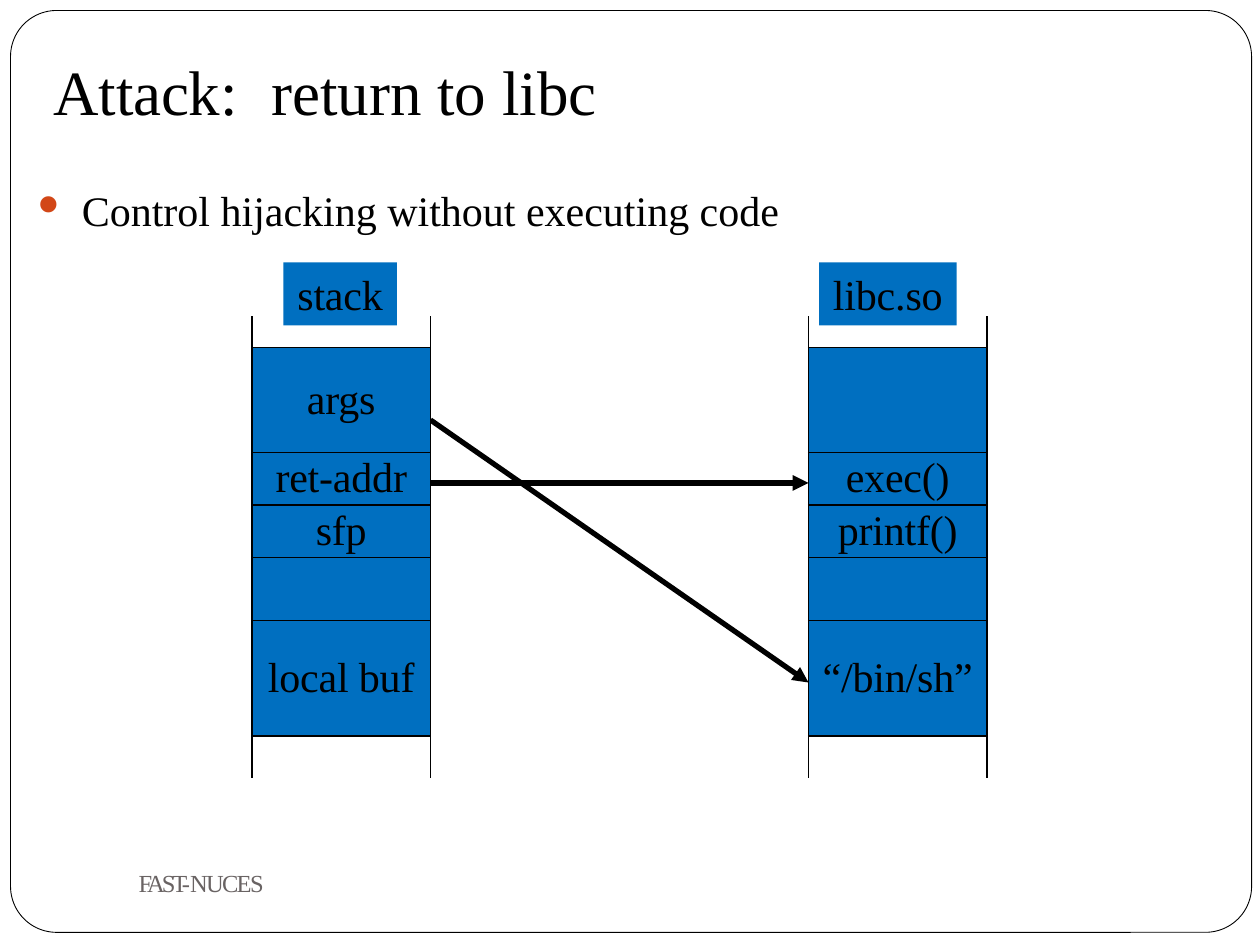
import pptx
import pptx.util
import pptx.dml.color
import pptx.enum.shapes
import pptx.enum.text
import pptx.oxml
import pptx.oxml.ns

COLORS = {"ink": "000000", "block": "006FC0", "bullet": "D24717", "footer": "696363"}
UNIT = pptx.util.Inches(1) // 12
ROW_HEIGHTS = [3, 10, 5, 5, 6, 11, 4]
COLUMN_WIDTH = 17
STACK_LEFT, LIBC_LEFT, TABLE_TOP = 24, 77, 30.1
NAMESPACE = pptx.oxml.ns.nsdecls("a")


def grid(value):
    return pptx.util.Emu(round(value * UNIT))


def element(name, content="", attributes=""):
    return pptx.oxml.parse_xml(f"<a:{name} {NAMESPACE} {attributes}>{content}</a:{name}>")


def color(name):
    return pptx.dml.color.RGBColor.from_string(COLORS[name])


def apply(target, values):
    for name, value in values.items():
        setattr(target, name, value)


class SlideBuilder:
    font = "Times New Roman"
    body_size = 24

    def __init__(self, page):
        self.page = page

    def add_spans(self, para, spans, size=body_size, ink="ink"):
        for text, spacing in spans:
            span = para.add_run()
            span.text = text
            apply(span.font, {"name": self.font, "size": pptx.util.Pt(size)})
            span.font.color.rgb = color(ink)
            span._r.get_or_add_rPr().set("spc", str(round(spacing * 100)))

    def frame(self, left, top, width, height, radius):
        box = self.page.shapes.add_shape(
            pptx.enum.shapes.MSO_SHAPE.ROUNDED_RECTANGLE, *map(grid, (left, top, width, height)))
        box.adjustments[0] = radius
        box.shadow.inherit = False
        box.fill.background()
        box.line.color.rgb = color("ink")
        box.line.width = pptx.util.Pt(0.5)

    def text(self, left, top, width, height, spans, size=body_size, ink="ink", tab=None, bullet=None):
        box = self.page.shapes.add_textbox(*map(grid, (left, top, width, height)))
        apply(box.text_frame, {"word_wrap": True, "margin_left": 0, "margin_right": 0,
                               "margin_top": pptx.util.Inches(0.02), "margin_bottom": 0})
        para = box.text_frame.paragraphs[0]
        properties = para._p.get_or_add_pPr()
        if bullet:
            properties.set("marL", str(pptx.util.Inches(0.4)))
            properties.set("indent", str(-pptx.util.Inches(0.38)))
            properties.append(element("buClr", f'<a:srgbClr val="{COLORS["bullet"]}"/>'))
            properties.append(element("buSzPct", attributes='val="83000"'))
            properties.append(element("buChar", attributes=f'char="{bullet}"'))
        if tab:
            stop = f'<a:tab pos="{pptx.util.Inches(tab)}" algn="l"/>'
            properties.append(element("tabLst", stop))
        self.add_spans(para, spans, size, ink)

    def heading(self, left, top, width, height, label):
        box = self.page.shapes.add_shape(
            pptx.enum.shapes.MSO_SHAPE.RECTANGLE, *map(grid, (left, top, width, height)))
        box.shadow.inherit = False
        box.fill.solid()
        box.fill.fore_color.rgb = color("block")
        box.line.fill.background()
        apply(box.text_frame, {"margin_left": 0, "margin_right": 0, "margin_top": 0, "margin_bottom": 0,
                               "vertical_anchor": pptx.enum.text.MSO_ANCHOR.MIDDLE})
        para = box.text_frame.paragraphs[0]
        para.alignment = pptx.enum.text.PP_ALIGN.CENTER
        self.add_spans(para, [(label, -0.1)])

    def borders(self, cell, open_side):
        properties = cell._tc.get_or_add_tcPr()
        for side in "LRTB":
            paint = "<a:noFill/>" if side == open_side else (
                f'<a:solidFill><a:srgbClr val="{COLORS["ink"]}"/></a:solidFill>')
            properties.append(element(f"ln{side}", paint, 'w="9525"'))

    def memory(self, left, labels):
        count = len(ROW_HEIGHTS)
        table = self.page.shapes.add_table(
            count, 1, *map(grid, (left, TABLE_TOP, COLUMN_WIDTH, sum(ROW_HEIGHTS)))).table
        apply(table, {"first_row": False, "horz_banding": False})
        for index, height in enumerate(ROW_HEIGHTS):
            table.rows[index].height = grid(height)
            cell = table.cell(index, 0)
            apply(cell, {"margin_left": 0, "margin_right": 0, "margin_top": 0, "margin_bottom": 0,
                         "vertical_anchor": pptx.enum.text.MSO_ANCHOR.MIDDLE})
            open_side = {0: "T", count - 1: "B"}.get(index)
            self.borders(cell, open_side)
            if open_side:
                cell.fill.background()
            else:
                cell.fill.solid()
                cell.fill.fore_color.rgb = color("block")
            para = cell.text_frame.paragraphs[0]
            para.alignment = pptx.enum.text.PP_ALIGN.CENTER
            if index in labels:
                self.add_spans(para, [(labels[index], -0.1)])
            else:
                para._p.append(element("endParaRPr", attributes='sz="1000"'))

    def arrow(self, start_row, end_row):
        line = self.page.shapes.add_connector(
            pptx.enum.shapes.MSO_CONNECTOR.STRAIGHT,
            *map(grid, (STACK_LEFT + COLUMN_WIDTH, start_row, LIBC_LEFT, end_row)))
        line.line.color.rgb = color("ink")
        line.line.width = pptx.util.Pt(3)
        line.line._get_or_add_ln().append(element("tailEnd", attributes='type="triangle"'))
        line._element.spPr.append(element("effectLst"))


def main():
    deck = pptx.Presentation()
    apply(deck, {"slide_width": grid(120), "slide_height": grid(90)})
    slide = SlideBuilder(deck.slides.add_slide(deck.slide_layouts[6]))
    slide.frame(1, 1, 118.2, 87.8, 0.05)
    slide.text(5.1, 4.8, 53, 7.6, [("Attack:", -0.1), ("\treturn to libc", 0)], size=36, tab=1.73)
    slide.text(3, 17.3, 72, 5.2, [("Control hijacking without executing code", 0)], bullet="⚫")
    slide.arrow(46, 46)
    slide.arrow(40, 65)
    slide.memory(STACK_LEFT, {1: "args", 2: "ret-addr", 3: "sfp", 5: "local buf"})
    slide.heading(27, 25, 10.8, 6, "stack")
    slide.memory(LIBC_LEFT, {2: "exec()", 3: "printf()", 5: "“/bin/sh”"})
    slide.heading(78, 25, 13.1, 6, "libc.so")
    slide.text(13.2, 82.4, 14, 3.2, [("FAST-", -1.8), ("NUCES", -1)], size=14, ink="footer")
    deck.save("out.pptx")


if __name__ == "__main__":
    main()
